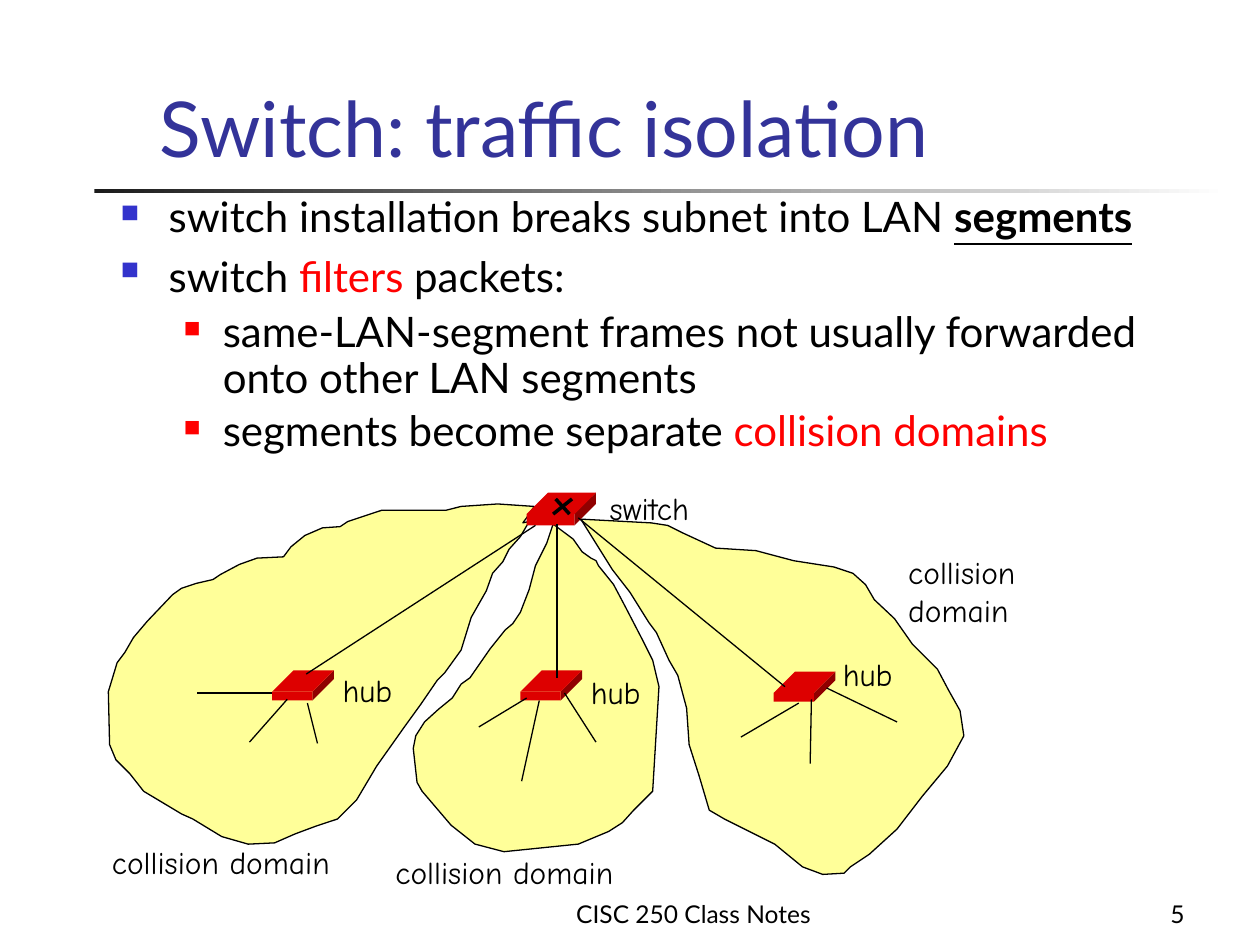
from lxml import etree
from pptx import Presentation
from pptx.dml.color import RGBColor
from pptx.enum.shapes import MSO_CONNECTOR, MSO_SHAPE
from pptx.enum.text import MSO_ANCHOR, PP_ALIGN
from pptx.oxml.ns import qn
from pptx.util import Inches, Pt

LINE, RECT = MSO_CONNECTOR.STRAIGHT, MSO_SHAPE.RECTANGLE
TOP, BOTTOM = MSO_ANCHOR.TOP, MSO_ANCHOR.BOTTOM
LEFT, CENTER, RIGHT = PP_ALIGN.LEFT, PP_ALIGN.CENTER, PP_ALIGN.RIGHT
COLS, ROWS, CELL = 10, 7.5, Inches(1)
BODY_FONT, LABEL_FONT = "Lato", "Comic Neue"
BLACK, RED, YELLOW = "000000", "FF0000", "FFFF99"
FACE_RED, SIDE_RED = "DD0000", "900000"

RIGHT_DOMAIN = [
    (4.61, 4.12), (4.86, 4.52), (5, 4.7), (5.15, 4.94), (5.21, 5.02), (5.31, 5.24),
    (5.38, 5.36), (5.45, 5.62), (5.47, 5.91), (5.55, 6.16), (5.63, 6.43), (5.75, 6.5),
    (6.15, 6.7), (6.37, 6.88), (6.53, 6.94), (6.7, 6.93), (6.75, 6.88), (6.9, 6.78),
    (7.12, 6.58), (7.32, 6.32), (7.52, 6.08), (7.65, 5.84), (7.62, 5.64), (7.53, 5.48),
    (7.44, 5.31), (7.24, 5.11), (7.1, 4.91), (6.94, 4.76), (6.87, 4.64), (6.77, 4.55),
    (6.62, 4.5), (6.3, 4.45), (6, 4.37), (5.68, 4.35), (5.42, 4.23), (5.3, 4.17),
    (5.17, 4.15)]
MIDDLE_DOMAIN = [
    (4.39, 4.16), (4.34, 4.31), (4.25, 4.49), (4.2, 4.68), (4.13, 4.86), (4.07, 4.95),
    (4.01, 5), (3.89, 5.15), (3.73, 5.38), (3.66, 5.43), (3.59, 5.54), (3.48, 5.63),
    (3.37, 5.73), (3.3, 5.84), (3.28, 5.94), (3.31, 6.21), (3.35, 6.28), (3.58, 6.55),
    (3.77, 6.7), (4, 6.76), (4.59, 6.7), (4.83, 6.6), (4.94, 6.53), (5.03, 6.43),
    (5.18, 6.28), (5.23, 5.45), (5.18, 5.24), (5.1, 5.08), (4.96, 4.81), (4.87, 4.64),
    (4.75, 4.49), (4.73, 4.45), (4.69, 4.43), (4.62, 4.38), (4.55, 4.28), (4.47, 4.22)]
LEFT_DOMAIN = [
    (4.24, 4.02), (3.95, 4), (3.66, 4.02), (3.54, 4.05), (3.03, 4.05), (2.76, 4.14),
    (2.7, 4.18), (2.56, 4.19), (2.42, 4.25), (2.31, 4.34), (2.25, 4.42), (2.04, 4.43),
    (1.9, 4.48), (1.75, 4.56), (1.69, 4.6), (1.56, 4.63), (1.44, 4.67), (1.37, 4.72),
    (1.17, 4.93), (1.06, 5.06), (0.99, 5.18), (0.93, 5.26), (0.86, 5.49), (0.87, 5.91),
    (0.92, 6.03), (1.03, 6.14), (1.14, 6.28), (1.44, 6.46), (1.53, 6.5), (1.76, 6.64),
    (1.97, 6.7), (2.18, 6.69), (2.34, 6.62), (2.5, 6.56), (2.68, 6.5), (2.83, 6.35),
    (2.99, 6.08), (3.21, 5.77), (3.34, 5.59), (3.47, 5.4), (3.53, 5.34), (3.66, 5.16),
    (3.74, 4.9), (3.86, 4.69), (3.91, 4.55), (3.99, 4.46), (4.04, 4.36), (4.13, 4.26),
    (4.2, 4.14), (4.15, 4.15), (4.18, 4.11)]
HUBS = [(4.13, 5.49), (6.14, 5.5), (2.16, 5.49)]
HUB_LINES = [
    (2.16, 5.5, 1.56, 5.5), (2.28, 5.55, 1.98, 5.89), (2.44, 5.58, 2.52, 5.9),
    (4.18, 5.54, 3.8, 5.77), (4.28, 5.56, 4.14, 6.2), (4.48, 5.5, 4.73, 5.89),
    (6.34, 5.58, 5.88, 5.85), (6.44, 5.55, 6.43, 6.06), (6.56, 5.46, 7.12, 5.73)]
CROSS = [(4.41, 3.96, 4.52, 4.08), (4.54, 3.96, 4.39, 4.08)]
UPLINKS = [(4.25, 4.17, 2.43, 5.35), (4.42, 4.16, 4.42, 5.38), (6.23, 5.45, 4.59, 4.11)]
LABELS = [
    ((2.62, 5.28, 0.69, 0.4), "hub"), ((4.59, 5.29, 0.62, 0.4), "hub"),
    ((6.59, 5.15, 0.62, 0.4), "hub"), ((4.74, 3.83, 0.95, 0.4), "switch"),
    ((0.79, 6.64, 2, 0.4), "collision domain"), ((3.04, 6.72, 2, 0.4), "collision domain"),
    ((7.11, 4.34, 1.19, 0.7), "collision \ndomain")]
BULLETS = [
    (0, [("switch installation breaks subnet into LAN ", {}), ("segments", {"strong": True})]),
    (0, [("switch ", {}), ("filters", {"color": RED}), (" packets:", {}), (" ", {"size": 28})]),
    (1, [("same-LAN-segment frames not usually forwarded onto other LAN segments", {})]),
    (1, [("segments become separate ", {}), ("collision domains", {"color": RED})])]
LEVELS = [(0.38, 0.38, "3333CC", 60), (0.81, 0.31, RED, 55)]


def rgb(color):
    """Turn a hex string into a colour."""
    return RGBColor.from_string(color)


def grid(*cells):
    """Turn columns and rows into lengths."""
    return [round(c * CELL) for c in cells]


def add_run(p, text, size=24, color=BLACK, font=BODY_FONT, strong=False):
    """Add one styled run."""
    r = p.add_run()
    r.text = text
    r.font.size, r.font.name = Pt(size), font
    r.font.color.rgb = rgb(color)
    if strong:
        r.font.bold = r.font.underline = True


def add_text(s, box, text="", size=14, color=BLACK, font=BODY_FONT,
             align=LEFT, anchor=BOTTOM, wrap=True):
    """Add a text box and return its text frame."""
    tf = s.shapes.add_textbox(*grid(*box)).text_frame
    tf.word_wrap, tf.vertical_anchor = wrap, anchor
    p = tf.paragraphs[0]
    p.alignment = align
    for i, line in enumerate(text.split("\n") if text else []):
        if i:
            p.add_line_break()
        add_run(p, line, size, color, font)
    return tf


def add_bullets(s, box):
    """Add the two-level bulleted list."""
    tf = add_text(s, box, anchor=TOP)
    for i, (level, runs) in enumerate(BULLETS):
        p = tf.add_paragraph() if i else tf.paragraphs[0]
        indent, hang, color, percent = LEVELS[level]
        pPr = p._p.get_or_add_pPr()
        pPr.set("marL", str(Inches(indent)))
        pPr.set("indent", str(-Inches(hang)))
        clr = etree.SubElement(pPr, qn("a:buClr"))
        etree.SubElement(clr, qn("a:srgbClr"), val=color)
        etree.SubElement(pPr, qn("a:buSzPct"), val=str(percent * 1000))
        etree.SubElement(pPr, qn("a:buChar"), char="■")
        p.level, p.line_spacing = level, 0.9
        if i:
            p.space_before = Pt(4.8)
        for text, style in runs:
            add_run(p, text, **style)


def add_outline(s, points, fill, line=None):
    """Add a closed freeform through the points."""
    start, *rest = [grid(*point) for point in points]
    builder = s.shapes.build_freeform(*start)
    builder.add_line_segments(rest, close=True)
    sp = builder.convert_to_shape()
    sp.shadow.inherit = False
    sp.fill.solid()
    sp.fill.fore_color.rgb = rgb(fill)
    if line:
        sp.line.color.rgb, sp.line.width = rgb(line), Pt(0.75)
    else:
        sp.line.fill.background()


def add_device(s, x, y, w, h, depth=0.17):
    """Add a flat box seen from above and the front."""
    right, back = x + w, y - depth
    top = [(x, y), (x + depth, back), (right + depth, back), (right, y)]
    side = [(right, y), (right + depth, back), (right + depth, back + h), (right, y + h)]
    add_outline(s, side, SIDE_RED)
    add_outline(s, top, FACE_RED)
    front = s.shapes.add_shape(RECT, *grid(x, y, w, h))
    front.shadow.inherit = False
    front.fill.solid()
    front.fill.fore_color.rgb = rgb(FACE_RED)
    front.line.fill.background()


def add_line(s, ends, width=0.75):
    """Add a straight black line."""
    c = s.shapes.add_connector(LINE, *grid(*ends))
    c.line.color.rgb, c.line.width = rgb(BLACK), Pt(width)
    etree.SubElement(c._element.spPr, qn("a:effectLst"))


def add_rule(s, box):
    """Add the fading bar under the title."""
    sp = s.shapes.add_shape(RECT, *grid(*box))
    sp.shadow.inherit = False
    sp.line.fill.background()
    sp.fill.gradient()
    sp.fill.gradient_angle = 0
    for stop, position, color in zip(sp.fill.gradient_stops, (0, 1), ("1C1C1C", "FFFFFF")):
        stop.position, stop.color.rgb = position, rgb(color)


def main():
    """Build the slide."""
    prs = Presentation()
    prs.slide_width, prs.slide_height = grid(COLS, ROWS)
    s = prs.slides.add_slide(prs.slide_layouts[6])
    add_rule(s, (0.75, 1.5, 9, 0.03))
    add_text(s, (3.42, 6.92, 4.17, 0.5), "CISC 250 Class Notes", align=CENTER)
    add_text(s, (8.58, 6.92, 0.92, 0.5), "5", align=RIGHT)
    for domain in (RIGHT_DOMAIN, MIDDLE_DOMAIN, LEFT_DOMAIN):
        add_outline(s, domain, YELLOW, BLACK)
    add_text(s, (1.17, 0.17, 8.5, 1.25), "Switch: traffic isolation", 44, "333399")
    add_bullets(s, (0.86, 1.51, 8.62, 2.57))
    for x, y in HUBS:
        add_device(s, x, y, 0.32, 0.07)
    add_device(s, 4.18, 4.08, 0.38, 0.09)
    for ends in HUB_LINES + UPLINKS:
        add_line(s, ends)
    for ends in CROSS:
        add_line(s, ends, 2)
    for box, text in LABELS:
        add_text(s, box, text, 18, font=LABEL_FONT, anchor=TOP, wrap=False)
    prs.save("out.pptx")


if __name__ == "__main__":
    main()
